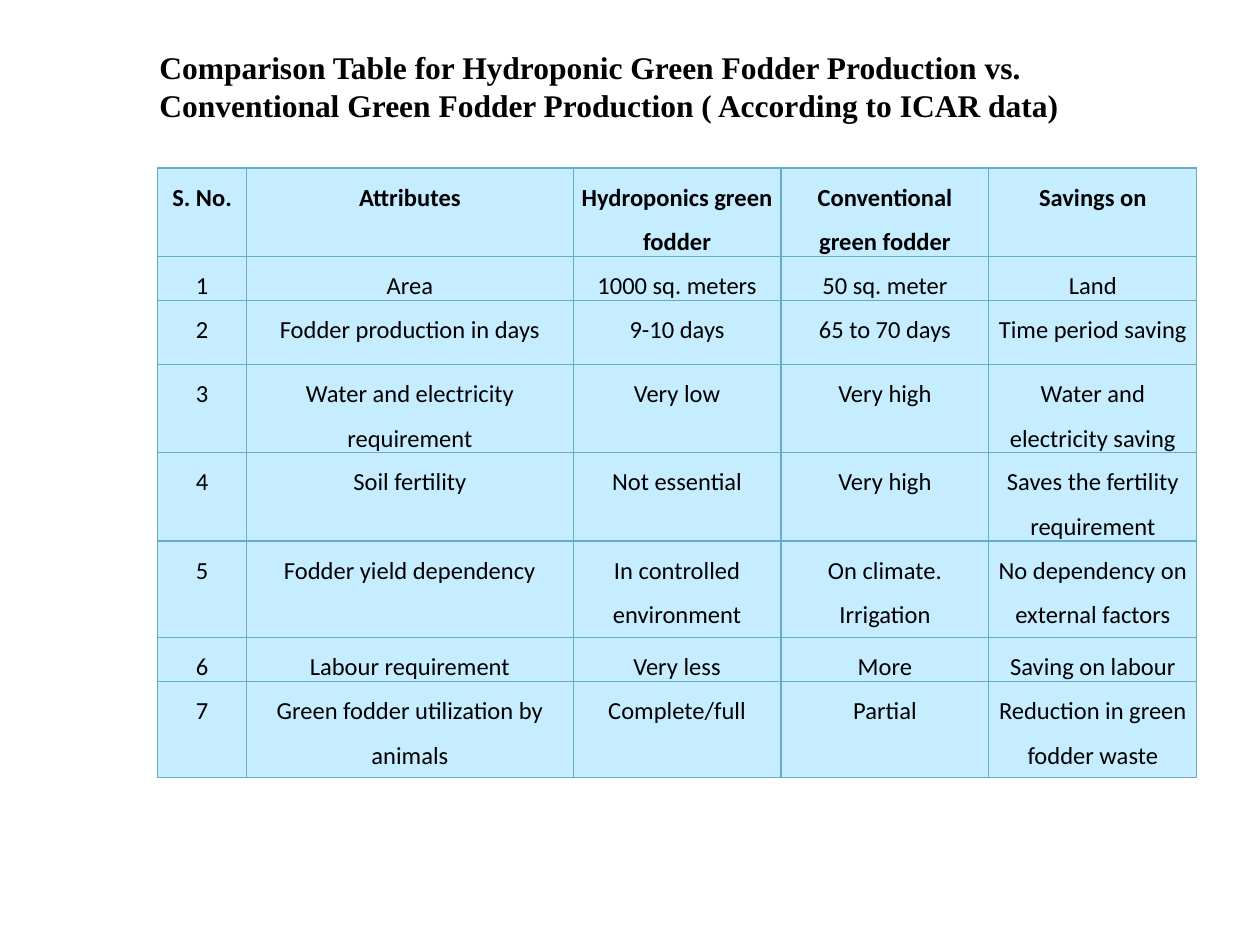
from lxml import etree
from pptx import Presentation
from pptx import util as u
from pptx.dml.color import RGBColor
from pptx.enum import text
from pptx.oxml.ns import qn

Pt = u.Pt
TITLE = ("Comparison Table for Hydroponic Green Fodder Production vs. "
         "Conventional Green Fodder Production ( According to ICAR data)")
ROWS = [
    ("S. No.", "Attributes", "Hydroponics green fodder", "Conventional green fodder", "Savings on"),
    ("1", "Area", "1000 sq. meters", "50 sq. meter", "Land"),
    ("2", "Fodder production in days", "9-10 days", "65 to 70 days", "Time period saving"),
    ("3", "Water and electricity requirement", "Very low", "Very high", "Water and electricity saving"),
    ("4", "Soil fertility", "Not essential", "Very high", "Saves the fertility requirement"),
    ("5", "Fodder yield dependency", "In controlled environment", "On climate. Irrigation",
     "No dependency on external factors"),
    ("6", "Labour requirement", "Very less", "More", "Saving on labour"),
    ("7", "Green fodder utilization by animals", "Complete/full", "Partial",
     "Reduction in green fodder waste"),
]
COLUMN_WIDTHS = [51, 186.5, 118.8, 118.8, 118.8]
ROW_HEIGHTS = [44, 21, 36.6, 44, 44, 55, 21, 55]
CELL_MARGINS = {"margin_left": Pt(3.6), "margin_right": Pt(3.6), "margin_top": 0, "margin_bottom": 0}


def color(hex_string):
    """Turn a hex string into a colour."""
    return RGBColor.from_string(hex_string)


def apply(target, values):
    """Set each named attribute on the target."""
    for name, value in values.items():
        setattr(target, name, value)


def write(paragraph, words, font_values):
    """Put one black run of words into a paragraph."""
    run = paragraph.add_run()
    run.text = words
    apply(run.font, font_values)
    run.font.color.rgb = color("000000")


def add_borders(cell, hex_string, width):
    """Draw a solid line on all four sides of a cell."""
    properties = cell._tc.get_or_add_tcPr()
    for position, side in enumerate(("a:lnL", "a:lnR", "a:lnT", "a:lnB")):
        line = etree.Element(qn(side), w=str(Pt(width)))
        fill = etree.SubElement(line, qn("a:solidFill"))
        etree.SubElement(fill, qn("a:srgbClr"), val=hex_string)
        properties.insert(position, line)


def add_title(slide, left, top, width, height):
    """Place the bold slide heading."""
    shape = slide.shapes.add_textbox(Pt(left), Pt(top), Pt(width), Pt(height))
    apply(shape.text_frame, {"word_wrap": True, "auto_size": text.MSO_AUTO_SIZE.SHAPE_TO_FIT_TEXT})
    write(shape.text_frame.paragraphs[0], TITLE,
          {"name": "Times New Roman", "size": Pt(18), "bold": True})


def fill_cell(cell, words, bold):
    """Format one table cell and write its words."""
    apply(cell, CELL_MARGINS)
    cell.fill.solid()
    cell.fill.fore_color.rgb = color("C5EDFF")
    add_borders(cell, "66AEC7", 0.75)
    paragraph = cell.text_frame.paragraphs[0]
    apply(paragraph, {"alignment": text.PP_ALIGN.CENTER, "line_spacing": 1.5})
    write(paragraph, words, {"name": "Calibri", "size": Pt(14), "bold": bold})


def add_comparison(slide, left, top, width, height):
    """Place the fodder comparison table."""
    frame = slide.shapes.add_table(len(ROWS), len(COLUMN_WIDTHS),
                                   Pt(left), Pt(top), Pt(width), Pt(height))
    table = frame.table
    for column, column_width in zip(table.columns, COLUMN_WIDTHS):
        column.width = Pt(column_width)
    for row, row_height, entries in zip(table.rows, ROW_HEIGHTS, ROWS):
        row.height = Pt(row_height)
        for cell, words in zip(row.cells, entries):
            fill_cell(cell, words, bold=entries is ROWS[0])
    frame.height = Pt(height)


def main():
    """Build and save the presentation."""
    presentation = Presentation()
    apply(presentation, {"slide_width": Pt(720), "slide_height": Pt(540)})
    slide = presentation.slides.add_slide(presentation.slide_layouts[6])
    add_title(slide, 84, 24, 594, 51)
    add_comparison(slide, 90, 96, 594, 348)
    presentation.save("out.pptx")


if __name__ == "__main__":
    main()
